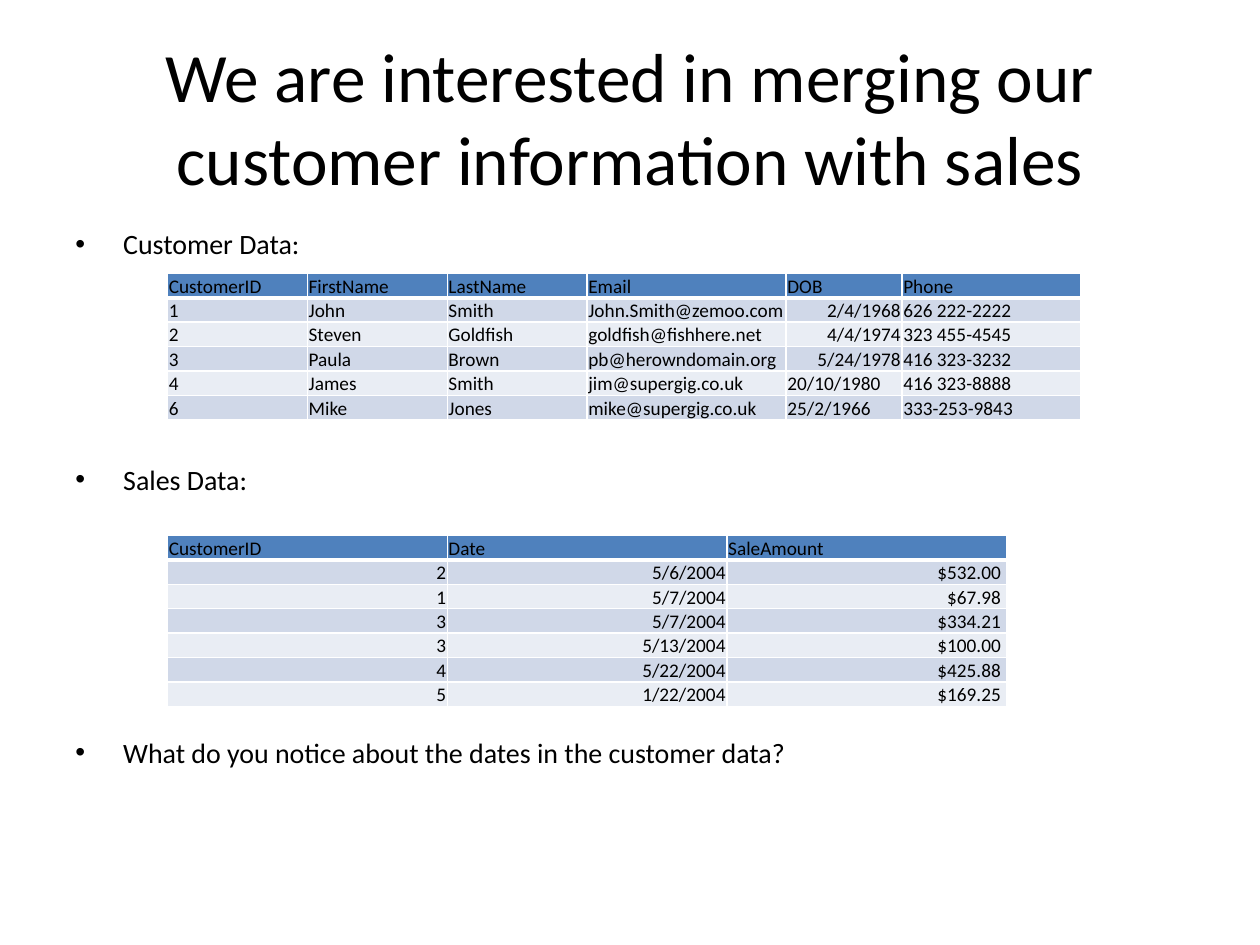
from dataclasses import dataclass
from itertools import product

import lxml.etree
import pptx
import pptx.dml.color
import pptx.enum.text
import pptx.oxml.ns
import pptx.util

Inches = pptx.util.Inches
Pt = pptx.util.Pt
RGBColor = pptx.dml.color.RGBColor
ALIGN = pptx.enum.text.PP_ALIGN
ANCHOR = pptx.enum.text.MSO_ANCHOR
qn = pptx.oxml.ns.qn

FONT_NAME = "Calibri"
BLACK = RGBColor(0x00, 0x00, 0x00)
WHITE = RGBColor(0xFF, 0xFF, 0xFF)
HEADER_BLUE = RGBColor(0x4F, 0x81, 0xBD)
BANDS = (RGBColor(0xE9, 0xED, 0xF4), RGBColor(0xD0, 0xD8, 0xE8))
ROW_HEIGHT = Inches(0.19)
CELL_INSET = Inches(0.01)
BULLET_INDENT = Inches(0.38)


@dataclass(frozen=True)
class DataTable:
    top: float
    column_widths: tuple[float, ...]
    rows: tuple[tuple[str, ...], ...]
    right_aligned: frozenset[tuple[int, int]]


@dataclass(frozen=True)
class Bullet:
    text: str
    space_before: float


TITLE = "We are interested in merging our customer information with sales"

BULLETS = (
    Bullet("Customer Data:", 0),
    Bullet("Sales Data:", 115.4),
    Bullet("What do you notice about the dates in the customer data?", 137),
)

CUSTOMERS = DataTable(
    2.17,
    (1.11, 1.11, 1.11, 1.58, 0.92, 1.42),
    (
        ("CustomerID", "FirstName", "LastName", "Email", "DOB", "Phone"),
        ("1", "John", "Smith", "John.Smith@zemoo.com", "2/4/1968", "626 222-2222"),
        ("2", "Steven", "Goldfish", "goldfish@fishhere.net", "4/4/1974", "323 455-4545"),
        ("3", "Paula", "Brown", "pb@herowndomain.org", "5/24/1978", "416 323-3232"),
        ("4", "James", "Smith", "jim@supergig.co.uk", "20/10/1980", "416 323-8888"),
        ("6", "Mike", "Jones", "mike@supergig.co.uk", "25/2/1966", "333-253-9843"),
    ),
    frozenset(product(range(1, 4), (4,))),
)

SALES = DataTable(
    4.25,
    (2.22, 2.22, 2.22),
    (
        ("CustomerID", "Date", "SaleAmount"),
        ("2", "5/6/2004", "$532.00 "),
        ("1", "5/7/2004", "$67.98 "),
        ("3", "5/7/2004", "$334.21 "),
        ("3", "5/13/2004", "$100.00 "),
        ("4", "5/22/2004", "$425.88 "),
        ("5", "1/22/2004", "$169.25 "),
    ),
    frozenset(product(range(1, 7), range(3))),
)


def style_paragraph(paragraph, size: float) -> None:
    paragraph.font.name = FONT_NAME
    paragraph.font.size = Pt(size)
    paragraph.font.color.rgb = BLACK


def add_text_frame(slide, top: float, height: float, anchor):
    shape = slide.shapes.add_textbox(Inches(0.5), Inches(top), Inches(9), Inches(height))
    text_frame = shape.text_frame
    text_frame.word_wrap = True
    text_frame.vertical_anchor = anchor
    return text_frame


def add_title(slide, text: str) -> None:
    paragraph = add_text_frame(slide, 0.3, 1.25, ANCHOR.MIDDLE).paragraphs[0]
    paragraph.text = text
    paragraph.alignment = ALIGN.CENTER
    style_paragraph(paragraph, 39.6)


def add_bullets(slide, bullets: tuple[Bullet, ...]) -> None:
    text_frame = add_text_frame(slide, 1.75, 4.95, ANCHOR.TOP)
    for index, bullet in enumerate(bullets):
        paragraph = text_frame.add_paragraph() if index else text_frame.paragraphs[0]
        paragraph.text = bullet.text
        paragraph.space_before = Pt(bullet.space_before)
        properties = paragraph._p.get_or_add_pPr()
        properties.set("marL", str(BULLET_INDENT))
        properties.set("indent", str(-BULLET_INDENT))
        lxml.etree.SubElement(properties, qn("a:buFont"), typeface="Arial")
        lxml.etree.SubElement(properties, qn("a:buChar"), char="•")
        style_paragraph(paragraph, 16)


def set_borders(cell, row: int) -> None:
    widths = {"L": 1, "R": 1, "T": 3 if row == 1 else 1, "B": 3 if row == 0 else 1}
    properties = cell._tc.get_or_add_tcPr()
    for position, (side, width) in enumerate(widths.items()):
        line = lxml.etree.Element(qn(f"a:ln{side}"), w=str(Pt(width)))
        fill = lxml.etree.SubElement(line, qn("a:solidFill"))
        lxml.etree.SubElement(fill, qn("a:srgbClr"), val=str(WHITE))
        properties.insert(position, line)


def add_data_table(slide, data: DataTable) -> None:
    row_count = len(data.rows)
    table = slide.shapes.add_table(
        row_count,
        len(data.column_widths),
        Inches(1.33),
        Inches(data.top),
        Inches(sum(data.column_widths)),
        ROW_HEIGHT * row_count,
    ).table
    table.first_row = False
    table.horz_banding = False
    for column, width in zip(table.columns, data.column_widths):
        column.width = Inches(width)
    for row, values in enumerate(data.rows):
        table.rows[row].height = ROW_HEIGHT
        for column, value in enumerate(values):
            cell = table.cell(row, column)
            cell.margin_left = cell.margin_right = cell.margin_top = CELL_INSET
            cell.margin_bottom = 0
            cell.vertical_anchor = ANCHOR.BOTTOM
            cell.fill.solid()
            cell.fill.fore_color.rgb = BANDS[row % 2] if row else HEADER_BLUE
            set_borders(cell, row)
            paragraph = cell.text_frame.paragraphs[0]
            paragraph.text = value
            is_right = (row, column) in data.right_aligned
            paragraph.alignment = ALIGN.RIGHT if is_right else ALIGN.LEFT
            style_paragraph(paragraph, 11)


def main() -> None:
    presentation = pptx.Presentation()
    presentation.slide_width = Inches(10)
    presentation.slide_height = Inches(7.5)
    slide = presentation.slides.add_slide(presentation.slide_layouts[6])
    add_title(slide, TITLE)
    add_bullets(slide, BULLETS)
    for data in (CUSTOMERS, SALES):
        add_data_table(slide, data)
    presentation.save("out.pptx")


if __name__ == "__main__":
    main()
